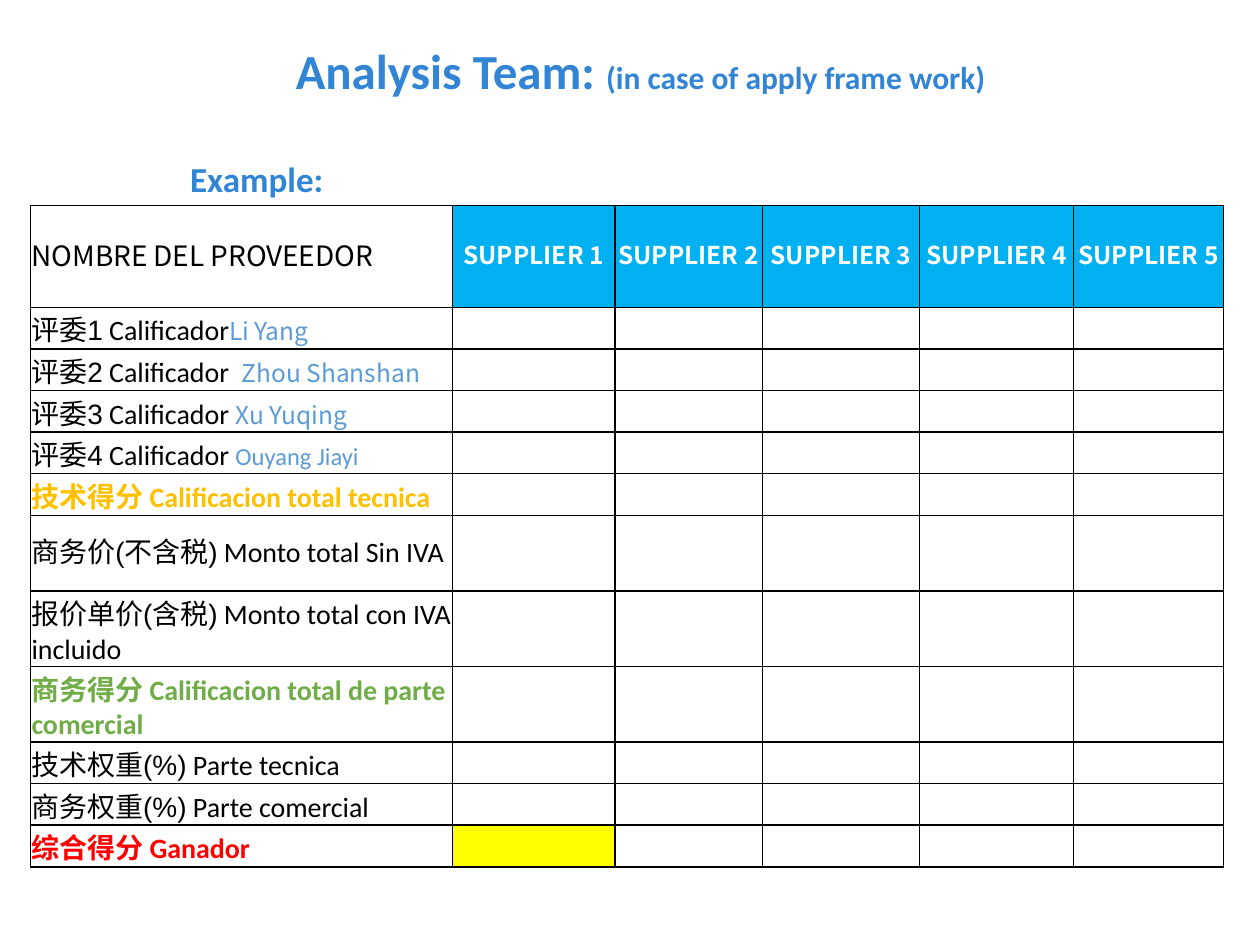
from typing import NamedTuple

from lxml.etree import SubElement
from pptx import Presentation
from pptx.dml.color import RGBColor
from pptx.enum.text import MSO_ANCHOR as Anchor, MSO_AUTO_SIZE as AutoSize, PP_ALIGN as Align
from pptx.oxml.ns import qn
from pptx.util import Inches, Pt

COLORS = {
    "title": "3284D5", "black": "000000", "white": "FFFFFF", "header": "00B0F0",
    "name": "5B9BD5", "technical": "FFC000", "commercial": "70AD47",
    "winner": "FF0000", "highlight": "FFFF00",
}
CALIBRI, ARIAL, NOTO = "Calibri", "Arial", "Noto Sans CJK SC"
COLUMN_WIDTHS = [3.35, 1.29, 1.17, 1.25, 1.22, 1.19]
HEADER_HEIGHT, LINE_HEIGHT, TWO_LINE_HEIGHT = 0.81, 0.33, 0.6


class TextRun(NamedTuple):
    text: str
    size: float
    font: str = CALIBRI
    color: str = "black"
    bold: bool = False


class Criterion(NamedTuple):
    chinese: str
    spanish: str
    color: str = "black"
    bold: bool = False
    height: float = LINE_HEIGHT
    evaluator: TextRun | None = None


CRITERIA = [
    Criterion("评委1", " Calificador", evaluator=TextRun("Li Yang", 14, NOTO, "name")),
    Criterion("评委2", " Calificador  ", evaluator=TextRun("Zhou Shanshan", 14, NOTO, "name")),
    Criterion("评委3", " Calificador ", evaluator=TextRun("Xu Yuqing", 14, NOTO, "name")),
    Criterion("评委4", " Calificador ", evaluator=TextRun("Ouyang Jiayi", 14, CALIBRI, "name")),
    Criterion("技术得分", " Calificacion total tecnica", "technical", True),
    Criterion("商务价(不含税)", " Monto total Sin IVA", height=TWO_LINE_HEIGHT),
    Criterion("报价单价(含税)", " Monto total con IVA incluido", height=TWO_LINE_HEIGHT),
    Criterion("商务得分", " Calificacion total de parte comercial", "commercial", True, TWO_LINE_HEIGHT),
    Criterion("技术权重(%)", " Parte tecnica"),
    Criterion("商务权重(%)", " Parte comercial"),
    Criterion("综合得分", " Ganador", "winner", True),
]


def rgb(color: str) -> RGBColor:
    return RGBColor.from_string(COLORS[color])


def write_runs(text_frame, runs: list[TextRun], align: Align = Align.LEFT) -> None:
    paragraph = text_frame.paragraphs[0]
    paragraph.alignment = align
    for item in runs:
        run = paragraph.add_run()
        run.text = item.text
        run.font.size = Pt(item.size)
        run.font.name = item.font
        run.font.bold = item.bold
        run.font.color.rgb = rgb(item.color)


def add_text(slide, box: tuple, runs: list[TextRun], align: Align, wrap: bool) -> None:
    text_frame = slide.shapes.add_textbox(*map(Inches, box)).text_frame
    text_frame.word_wrap = wrap
    text_frame.auto_size = AutoSize.SHAPE_TO_FIT_TEXT
    write_runs(text_frame, runs, align)


def add_borders(cell) -> None:
    """Draw a thin black line on all four sides, ahead of the cell's fill."""
    properties = cell._tc.get_or_add_tcPr()
    for position, side in enumerate(("lnL", "lnR", "lnT", "lnB")):
        line = SubElement(properties, qn(f"a:{side}"), w=str(Pt(1)))
        fill = SubElement(line, qn("a:solidFill"))
        SubElement(fill, qn("a:srgbClr"), val=COLORS["black"])
        properties.insert(position, line)


def format_cell(cell, fill: str | None = None) -> None:
    cell.vertical_anchor = Anchor.MIDDLE
    cell.margin_left = cell.margin_right = cell.margin_top = Inches(0.01)
    cell.margin_bottom = Inches(0.05 if cell.text else 0.01)
    if fill:
        cell.fill.solid()
        cell.fill.fore_color.rgb = rgb(fill)
    else:
        cell.fill.background()
    add_borders(cell)


def add_score_table(slide) -> None:
    heights = [HEADER_HEIGHT] + [criterion.height for criterion in CRITERIA]
    table = slide.shapes.add_table(
        len(heights), len(COLUMN_WIDTHS), Inches(0.24), Inches(1.63),
        Inches(sum(COLUMN_WIDTHS)), Inches(sum(heights)),
    ).table
    table.first_row = table.horz_banding = False
    for column, width in zip(table.columns, COLUMN_WIDTHS):
        column.width = Inches(width)
    for row, height in zip(table.rows, heights):
        row.height = Inches(height)

    write_runs(table.cell(0, 0).text_frame, [TextRun("NOMBRE DEL PROVEEDOR", 16, NOTO)])
    for number in range(1, len(COLUMN_WIDTHS)):
        header = TextRun(f"SUPPLIER {number}", 14, NOTO, "white", True)
        write_runs(table.cell(0, number).text_frame, [header], Align.CENTER)
    for row, item in enumerate(CRITERIA, start=1):
        runs = [
            TextRun(item.chinese, 16, ARIAL, item.color, item.bold),
            TextRun(item.spanish, 16, CALIBRI, item.color, item.bold),
        ]
        if item.evaluator:
            runs.append(item.evaluator)
        write_runs(table.cell(row, 0).text_frame, runs)

    fills = {(0, number): "header" for number in range(1, len(COLUMN_WIDTHS))}
    fills[len(CRITERIA), 1] = "highlight"
    for row in range(len(heights)):
        for column in range(len(COLUMN_WIDTHS)):
            format_cell(table.cell(row, column), fills.get((row, column)))


def main() -> None:
    presentation = Presentation()
    presentation.slide_width, presentation.slide_height = Inches(10), Inches(7.5)
    slide = presentation.slides.add_slide(presentation.slide_layouts[6])
    title = [
        TextRun("Analysis Team: ", 28, CALIBRI, "title", True),
        TextRun("(in case of apply frame work)", 18, CALIBRI, "title", True),
        TextRun(" ", 28, CALIBRI, "title", True),
    ]
    add_text(slide, (2.25, 0.27, 5.77, 0.57), title, Align.LEFT, wrap=False)
    example = [TextRun("Example: ", 20, CALIBRI, "title", True)]
    add_text(slide, (-0.63, 1.2, 5.4, 0.44), example, Align.CENTER, wrap=True)
    add_score_table(slide)
    presentation.save("out.pptx")


if __name__ == "__main__":
    main()
